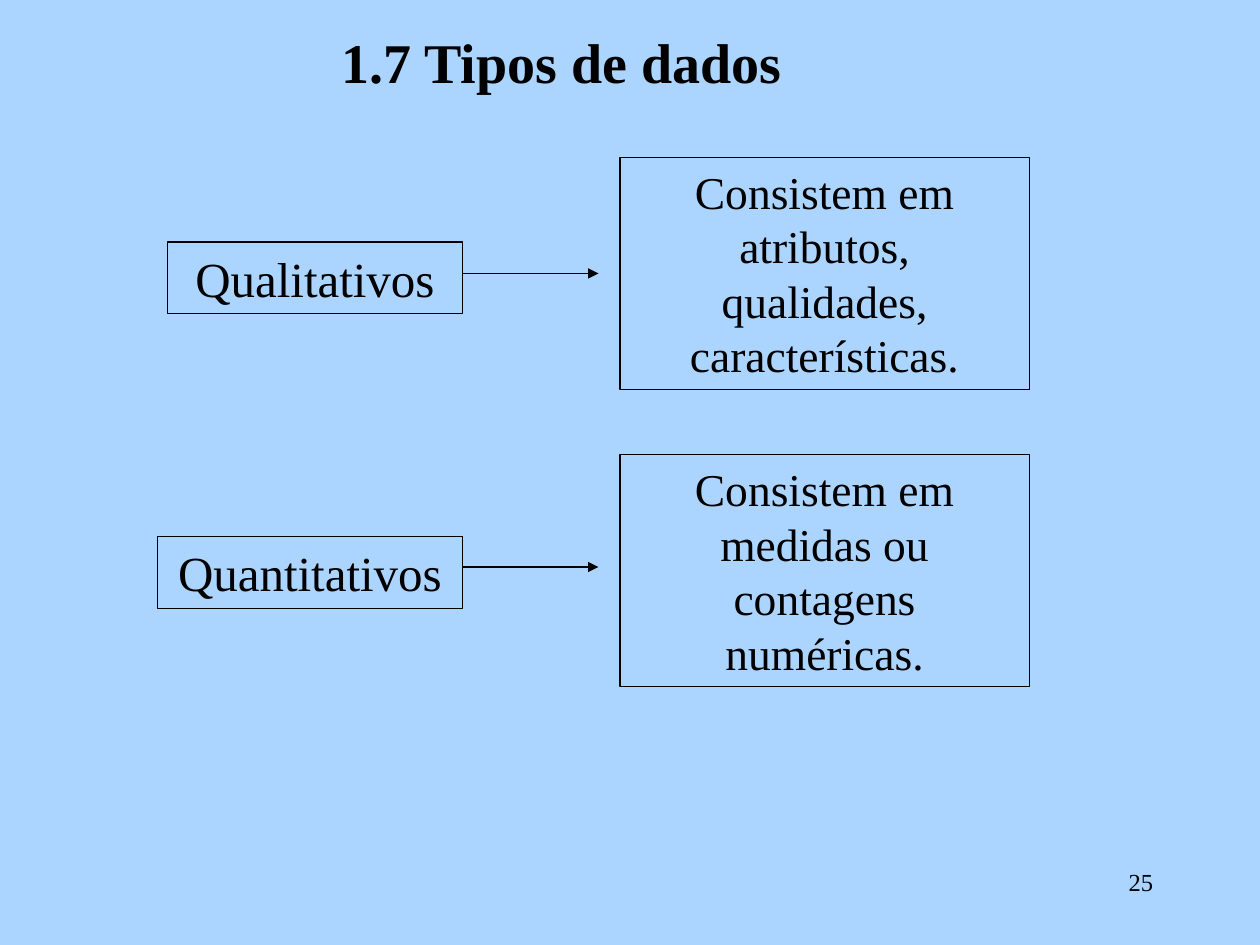
from dataclasses import dataclass

from lxml.etree import SubElement
from pptx import Presentation
from pptx.dml.color import RGBColor
from pptx.enum.shapes import MSO_CONNECTOR, MSO_SHAPE
from pptx.enum.text import MSO_ANCHOR, MSO_AUTO_SIZE, PP_ALIGN
from pptx.oxml.ns import qn
from pptx.util import Inches, Pt


def colour(value):
    """Turn a hex string into a colour."""
    return RGBColor.from_string(value)


@dataclass
class Painter:
    """Hold the style and the current page."""

    page: object
    font: str = "Times New Roman"
    ink: str = "000000"
    ground: str = "ABD5FF"
    line_width: float = 0.75

    def background(self):
        """Fill the page with the ground colour."""
        fill = self.page.background.fill
        fill.solid()
        fill.fore_color.rgb = colour(self.ground)

    def add_text(self, box, text, size, align, bold=False, wrap=True, grow=True):
        """Put one paragraph into a box."""
        frame = box.text_frame
        frame.word_wrap = wrap
        frame.auto_size = MSO_AUTO_SIZE.SHAPE_TO_FIT_TEXT if grow else MSO_AUTO_SIZE.NONE
        frame.vertical_anchor = MSO_ANCHOR.TOP
        para = frame.paragraphs[0]
        para.alignment = align
        span = para.add_run()
        span.text = text
        span.font.name = self.font
        span.font.size = Pt(size)
        span.font.bold = bold
        span.font.color.rgb = colour(self.ink)

    def label(self, left, top, width, height, text, size, align, **options):
        """Add plain text."""
        box = self.page.shapes.add_textbox(
            Inches(left), Inches(top), Inches(width), Inches(height))
        self.add_text(box, text, size, align, **options)

    def outlined_box(self, left, top, width, height, text, size):
        """Add an unfilled rectangle with centred text."""
        box = self.page.shapes.add_shape(
            MSO_SHAPE.RECTANGLE, Inches(left), Inches(top), Inches(width), Inches(height))
        box.shadow.inherit = False
        box.fill.background()
        box.line.color.rgb = colour(self.ink)
        box.line.width = Pt(self.line_width)
        self.add_text(box, text, size, PP_ALIGN.CENTER)

    def arrow(self, start, end, height):
        """Add a horizontal arrow pointing right."""
        arrow = self.page.shapes.add_connector(
            MSO_CONNECTOR.STRAIGHT, Inches(start), Inches(height), Inches(end), Inches(height))
        arrow.line.color.rgb = colour(self.ink)
        arrow.line.width = Pt(self.line_width)
        properties = arrow.element.spPr
        SubElement(properties.find(qn("a:ln")), qn("a:tailEnd"), type="triangle")
        SubElement(properties, qn("a:effectLst"))


def main():
    """Build the page and save the deck."""
    deck = Presentation()
    deck.slide_width, deck.slide_height = Inches(10), Inches(7.5)
    painter = Painter(deck.slides.add_slide(deck.slide_layouts[6]))
    painter.background()
    painter.label(2.61, 0.17, 3.82, 0.64, "1.7 Tipos de dados", 32,
                  PP_ALIGN.LEFT, bold=True, wrap=False)

    kinds_right = 3.67
    kinds = [
        ("Qualitativos", 1.33, 1.92, 2.17, 1.25,
         "Consistem em atributos, qualidades, características."),
        ("Quantitativos", 1.25, 4.26, 4.5, 3.61,
         "Consistem em medidas ou contagens numéricas."),
    ]
    for kind, left, top, arrow_height, meaning_top, meaning in kinds:
        painter.outlined_box(left, top, kinds_right - left, 0.57, kind, 28)
        painter.arrow(kinds_right, 4.75, arrow_height)
        painter.outlined_box(4.92, meaning_top, 3.25, 1.84, meaning, 26)

    painter.label(7.17, 6.83, 2.08, 0.5, "25", 14, PP_ALIGN.RIGHT, grow=False)
    deck.save("out.pptx")


if __name__ == "__main__":
    main()
